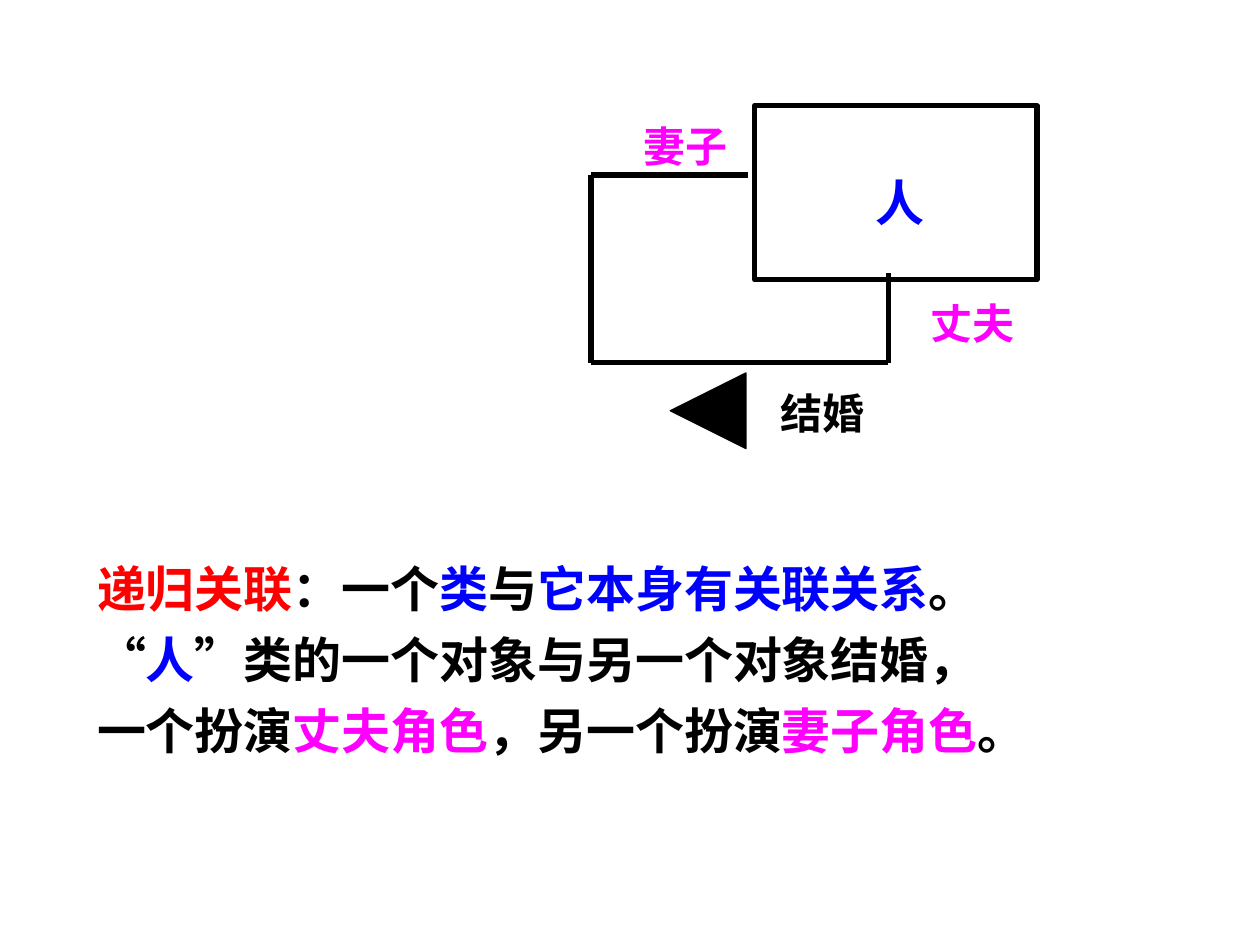
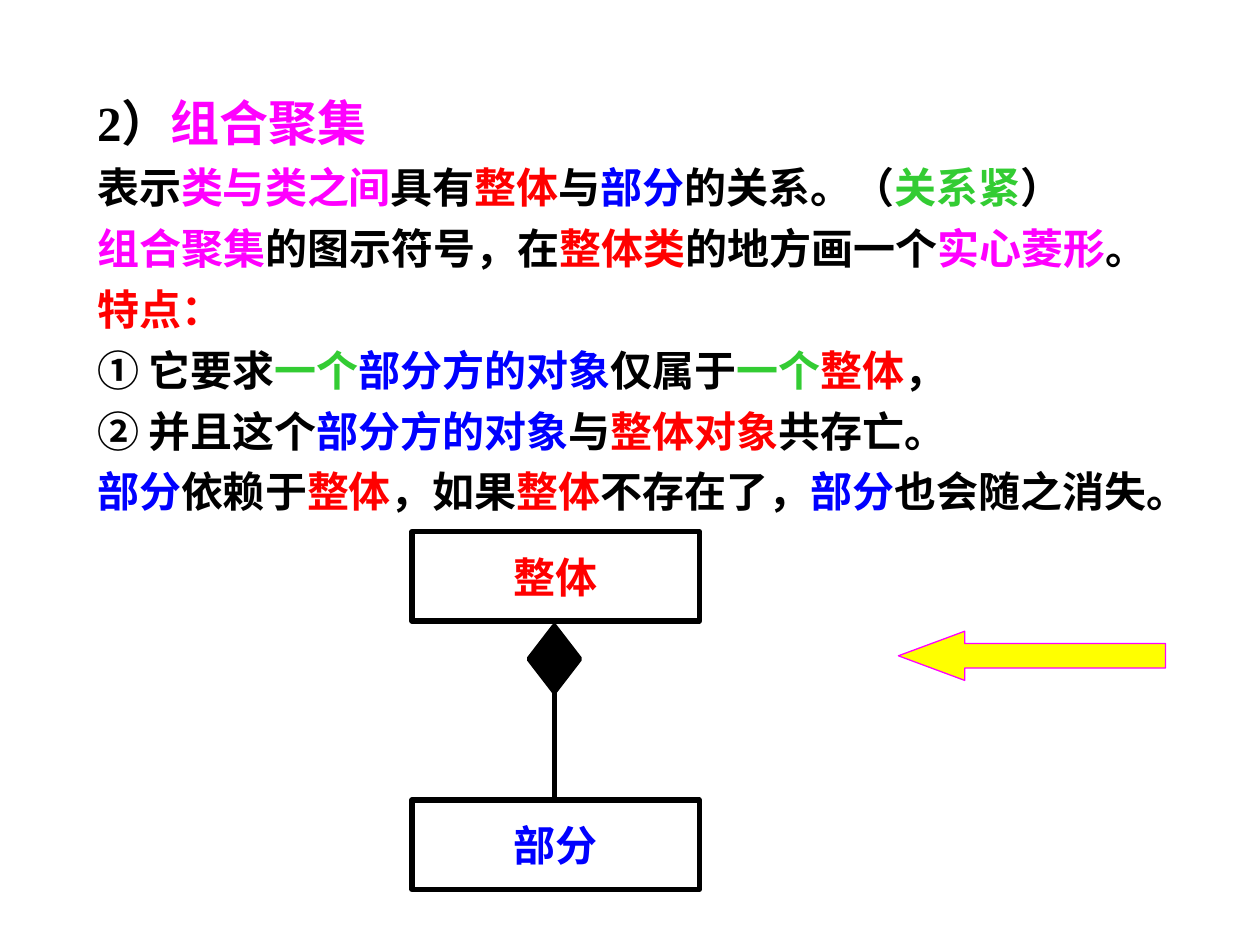
from lxml import etree
from pptx import Presentation
from pptx.dml.color import RGBColor
from pptx.enum.shapes import MSO_CONNECTOR, MSO_SHAPE
from pptx.enum.text import MSO_ANCHOR, MSO_AUTO_SIZE, PP_ALIGN
from pptx.oxml.ns import qn
from pptx.util import Inches, Pt

BLACK = RGBColor(0x00, 0x00, 0x00)
WHITE = RGBColor(0xFF, 0xFF, 0xFF)
RED = RGBColor(0xFF, 0x00, 0x00)
BLUE = RGBColor(0x00, 0x00, 0xFF)
MAGENTA = RGBColor(0xFF, 0x00, 0xFF)
GREEN = RGBColor(0x33, 0xCC, 0x33)
YELLOW = RGBColor(0xFF, 0xFF, 0x00)
SERIF, SANS = "Times New Roman", "Arial"
LEFT, CENTER, RIGHT = PP_ALIGN.LEFT, PP_ALIGN.CENTER, PP_ALIGN.RIGHT
TOP, MIDDLE = MSO_ANCHOR.TOP, MSO_ANCHOR.MIDDLE
NO_FIT = MSO_AUTO_SIZE.NONE
RECT, DIAMOND = MSO_SHAPE.RECTANGLE, MSO_SHAPE.DIAMOND
TRIANGLE, ARROW = MSO_SHAPE.ISOSCELES_TRIANGLE, MSO_SHAPE.LEFT_ARROW
STRAIGHT = MSO_CONNECTOR.STRAIGHT

prs = Presentation()
prs.slide_width, prs.slide_height = Inches(10), Inches(7.5)


def share(*percents):
    sides = (prs.slide_width, prs.slide_height) * 2
    return [round(side * percent / 100) for side, percent in zip(sides, percents)]


def write(p, runs, size, align):
    p.alignment = align
    p.font.size, p.font.bold, p.font.name = Pt(size), True, SERIF
    for text, color in runs:
        r = p.add_run()
        r.text = text
        r.font.color.rgb = color
        if text in "“”":
            r.font.name = SANS


recursive_lines = [
    (28, [("递归关联", RED), ("：一个", BLACK), ("类", BLUE), ("与", BLACK),
          ("它本身有关联关系", BLUE), ("。", BLACK)]),
    (28, [("“", BLACK), ("人", BLUE), ("”", BLACK),
          ("类的一个对象与另一个对象结婚，", BLACK)]),
    (28, [("一个扮演", BLACK), ("丈夫角色", MAGENTA), ("，另一个扮演", BLACK),
          ("妻子角色", MAGENTA), ("。", BLACK)]),
]
composite_lines = [
    (28, [("2）", BLACK), ("组合聚集", MAGENTA)]),
    (24, [("表示", BLACK), ("类与类之间", MAGENTA), ("具有", BLACK), ("整体", RED),
          ("与", BLACK), ("部分", BLUE), ("的关系。（", BLACK), ("关系紧", GREEN),
          ("）", BLACK)]),
    (24, [("组合聚集", MAGENTA), ("的图示符号，在", BLACK), ("整体类", RED),
          ("的地方画一个", BLACK), ("实心菱形", MAGENTA), ("。", BLACK)]),
    (24, [("特点：", RED)]),
    (24, [("① 它要求", BLACK), ("一个", GREEN), ("部分方的对象", BLUE),
          ("仅属于", BLACK), ("一个", GREEN), ("整体", RED), ("，", BLACK)]),
    (24, [("② 并且这个", BLACK), ("部分方的对象", BLUE), ("与", BLACK),
          ("整体对象", RED), ("共存亡。", BLACK)]),
    (24, [("部分", BLUE), ("依赖于", BLACK), ("整体", RED), ("，如果", BLACK),
          ("整体", RED), ("不存在了，", BLACK), ("部分", BLUE),
          ("也会随之消失。", BLACK)]),
]

slides = []
for lines, top, height, hang in [(recursive_lines, 58.4, 37.2, 0.31),
                                 (composite_lines, 9.07, 86.53, 0.58)]:
    s = prs.slides.add_slide(prs.slide_layouts[0])
    slides.append(s)
    title = s.shapes.title
    title.element.getparent().remove(title.element)
    body = s.placeholders[1]
    body.left, body.top, body.width, body.height = share(6.7, top, 86.7, height)
    tf = body.text_frame
    tf.auto_size, tf.vertical_anchor, tf.word_wrap = NO_FIT, TOP, True
    for i, (size, runs) in enumerate(lines):
        p = tf.add_paragraph() if i else tf.paragraphs[0]
        pPr = p._p.get_or_add_pPr()
        pPr.set("marL", str(Inches(hang)))
        pPr.set("indent", str(-Inches(hang)))
        p.space_before = Pt(size / 4 if i else 0)
        write(p, runs, size, LEFT)

recursive, composite = slides

shapes = [
    (recursive, TRIANGLE, (53.2, 39.47, 6, 8), BLACK, BLACK, 0.75),
    (composite, DIAMOND, (42, 66.27, 4, 6.93), BLACK, BLACK, 3),
    (composite, ARROW, (71.3, 66.8, 21.2, 5.2), YELLOW, MAGENTA, 0.75),
]
for s, kind, area, fill, line, width in shapes:
    sp = s.shapes.add_shape(kind, *share(*area))
    sp.shadow.inherit = False
    sp.fill.solid()
    sp.fill.fore_color.rgb = fill
    sp.line.color.rgb, sp.line.width = line, Pt(width)
    if kind == TRIANGLE:
        sp.rotation = 270
    if kind == ARROW:
        sp.adjustments[1] = 1.35

class_boxes = [
    (recursive, "人", BLUE, 28, (59.9, 11.2, 22.4, 18.4)),
    (composite, "整体", RED, 24, (32.7, 56.27, 22.8, 9.47)),
    (composite, "部分", BLUE, 24, (32.7, 84.67, 22.8, 9.47)),
]
for s, text, color, size, area in class_boxes:
    sp = s.shapes.add_shape(RECT, *share(*area))
    sp.shadow.inherit = False
    sp.fill.background()
    sp.line.color.rgb, sp.line.width = BLACK, Pt(3)
    tf = sp.text_frame
    tf.vertical_anchor = MIDDLE
    if s is recursive:
        sp.fill.solid()
        sp.fill.fore_color.rgb = WHITE
        tf.margin_top, tf.margin_left = Inches(0.19), Inches(0.16)
    write(tf.paragraphs[0], [(text, color)], size, CENTER)

marriage_path = [(59.4, 18.53), (46.9, 18.53), (46.9, 38.4), (70.5, 38.4), (70.5, 28.93)]
part_path = [(44, 72.4), (44, 84.67)]
for s, points in [(recursive, marriage_path), (composite, part_path)]:
    for start, end in zip(points, points[1:]):
        line = s.shapes.add_connector(STRAIGHT, *share(*start, *end))
        line.line.color.rgb, line.line.width = BLACK, Pt(3)
        etree.SubElement(line._element.spPr, qn("a:effectLst"))

roles = [("妻子", MAGENTA, RIGHT, 46.9, 11.2), ("丈夫", MAGENTA, RIGHT, 69.7, 30),
         ("结婚", BLACK, CENTER, 59.4, 39.47)]
for text, color, align, left, top in roles:
    tf = recursive.shapes.add_textbox(*share(left, top, 11.8, 8.4)).text_frame
    tf.word_wrap, tf.vertical_anchor = True, MIDDLE
    write(tf.paragraphs[0], [(text, color)], 24, align)

prs.save("out.pptx")
